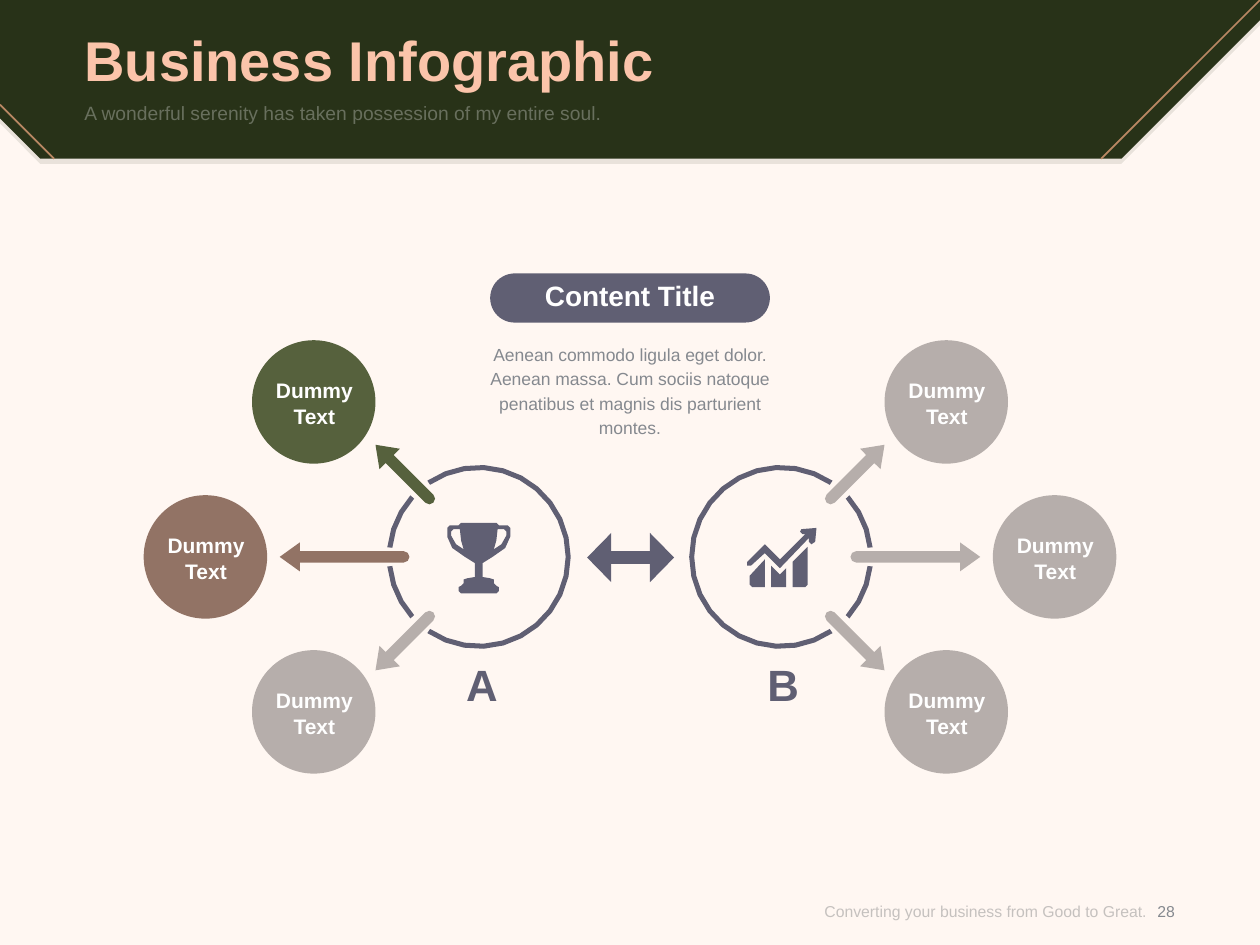
from math import cos, sin, radians
from lxml import etree
from pptx import Presentation
from pptx.dml.color import RGBColor
from pptx.enum.shapes import MSO_CONNECTOR, MSO_SHAPE
from pptx.enum.text import MSO_ANCHOR, PP_ALIGN
from pptx.oxml.ns import qn
from pptx.util import Inches, Pt

COLORS = {"cream": "FFF7F2", "forest": "283218", "copper": "B98763", "peach": "FBC4AA",
          "slate": "605F73", "olive": "56613D", "brown": "927365", "taupe": "B6AEAB",
          "gray": "85898F", "footer": "8C8C8C", "white": "FFFFFF"}

prs = Presentation()
prs.slide_width, prs.slide_height = Inches(10), Inches(7.5)
s = prs.slides.add_slide(prs.slide_layouts[1])
s.background.fill.solid()
s.background.fill.fore_color.rgb = RGBColor.from_string(COLORS["cream"])


def paint(fill, color, element, alpha=100):
    """Solid fill; element holds the colour that alpha (percent) applies to."""
    fill.solid()
    fill.fore_color.rgb = RGBColor.from_string(COLORS[color])
    if alpha < 100:
        clr = next(element.iter(qn("a:srgbClr")))
        etree.SubElement(clr, qn("a:alpha")).set("val", str(alpha * 1000))


def freeform(outlines, color, alpha=100):
    """One filled shape from closed outlines given in inches."""
    builder = None
    for outline in outlines:
        pts = [(Inches(x), Inches(y)) for x, y in outline]
        if builder is None:
            builder = s.shapes.build_freeform(*pts[0], scale=1.0)
        else:
            builder.move_to(*pts[0])
        builder.add_line_segments(pts[1:], close=True)
    sp = builder.convert_to_shape()
    sp.shadow.inherit = False
    sp.line.fill.background()
    paint(sp.fill, color, sp._element, alpha)


# Header banner with its soft edge and copper lines
banner = [(0, 0), (10, 0), (10, 0.16), (8.9, 1.26), (0.32, 1.26), (0, 0.94)]
freeform([[(x, y + 0.04) for x, y in banner]], "forest", 10)
freeform([banner], "forest")
for x1, y1, x2, y2 in [(10, 0, 8.74, 1.26), (0, 0.83, 0.43, 1.26)]:
    line = s.shapes.add_connector(MSO_CONNECTOR.STRAIGHT, Inches(x1), Inches(y1),
                                  Inches(x2), Inches(y2))
    line.line.width = Pt(1)
    line.line.color.rgb = RGBColor.from_string(COLORS["copper"])
    etree.SubElement(line._element.spPr, qn("a:effectLst"))

# Rings, broken where the arrows pass; side -1 is A, +1 is B
CY = 4.42
for side in (-1, 1):
    cx = 5 + side * 1.2
    segments = []
    for start, end, steps in [(-124, 124, 20), (138, 174, 3), (186, 222, 3)]:
        angles = [radians(start + (end - start) * i / steps) for i in range(steps + 1)]
        arc = [(0.73, a) for a in angles] + [(0.69, a) for a in reversed(angles)]
        segments.append([(cx - side * rad * cos(a), CY + rad * sin(a)) for rad, a in arc])
    freeform(segments, "slate")

# Double arrow between the rings
double_arrow = s.shapes.add_shape(MSO_SHAPE.LEFT_RIGHT_ARROW, Inches(4.66), Inches(4.23),
                                  Inches(0.69), Inches(0.39))
double_arrow.adjustments[0], double_arrow.adjustments[1] = 0.26, 0.49

# Title pill
pill = s.shapes.add_shape(MSO_SHAPE.ROUNDED_RECTANGLE, Inches(3.89), Inches(2.17),
                          Inches(2.22), Inches(0.39))
pill.adjustments[0] = 0.5
for sp in (double_arrow, pill):
    sp.shadow.inherit = False
    sp.line.fill.background()
    paint(sp.fill, "slate", sp._element)

# Arrows: side, tip distance from the middle, tip y, angle, length, colour
arrows = [(-1, 2.02, 3.53, 45, 0.65, "olive"), (-1, 2.78, CY, 0, 1.03, "brown"),
          (-1, 2.02, 5.32, -45, 0.65, "taupe"), (1, 2.02, 3.53, 45, 0.65, "taupe"),
          (1, 2.78, CY, 0, 1.03, "taupe"), (1, 2.02, 5.32, -45, 0.65, "taupe")]
HALF = 0.045
for side, reach, tip_y, angle, length, color in arrows:
    cap = [(length - HALF + HALF * cos(radians(a)), HALF * sin(radians(a)))
           for a in range(-90, 91, 45)]
    profile = [(0, 0), (0.16, -0.115), (0.16, -HALF)] + cap + [(0.16, HALF), (0.16, 0.115)]
    c, n = cos(radians(angle)), sin(radians(angle))
    freeform([[(5 + side * (reach - u * c + v * n), tip_y + u * n + v * c)
               for u, v in profile]], color)

# Trophy: right half as offsets from its axis, then mirrored
half = [(0.14, 4.15), (0.16, 4.17), (0.23, 4.17), (0.25, 4.19), (0.25, 4.26), (0.21, 4.35),
        (0.11, 4.42), (0.03, 4.47), (0.03, 4.58), (0.09, 4.59), (0.12, 4.6), (0.12, 4.63),
        (0.14, 4.65), (0.16, 4.66), (0.16, 4.69), (0.14, 4.71)]
handle = [(0.22, 4.25), (0.22, 4.22), (0.2, 4.2), (0.15, 4.2), (0.14, 4.29), (0.12, 4.36),
          (0.18, 4.32)]
cup = [(3.8 + x, y) for x, y in half] + [(3.8 - x, y) for x, y in reversed(half)]
holes = [[(3.8 + d * x, y) for x, y in handle] for d in (1, -1)]
freeform([cup] + holes, "slate")

# Growth chart icon: three bars and a rising arrow
freeform([
    [(5.95, 4.57), (6.07, 4.44), (6.07, 4.66), (5.97, 4.66), (5.95, 4.64)],
    [(6.12, 4.49), (6.19, 4.56), (6.24, 4.51), (6.24, 4.66), (6.12, 4.66)],
    [(6.29, 4.46), (6.41, 4.34), (6.41, 4.64), (6.39, 4.66), (6.29, 4.66)],
    [(6.48, 4.19), (6.47, 4.3), (6.44, 4.32), (6.42, 4.3), (6.42, 4.27), (6.19, 4.51),
     (6.07, 4.39), (5.96, 4.49), (5.93, 4.49), (5.93, 4.46), (6.07, 4.32), (6.19, 4.44),
     (6.39, 4.24), (6.37, 4.24), (6.35, 4.22), (6.36, 4.2)],
], "slate")

# Placeholders in front of the banner
title, body = s.shapes.title, s.placeholders[1]
for sp in (title, body):
    s.shapes._spTree.append(sp._element)

# Texts: shape (None for a new box), text, box, size, colour, alpha, bold, align, anchor
L, C, R = PP_ALIGN.LEFT, PP_ALIGN.CENTER, PP_ALIGN.RIGHT
TOP, MID = MSO_ANCHOR.TOP, MSO_ANCHOR.MIDDLE
texts = [
    (title, "Business Infographic", (0.67, 0.14, 8.66, 0.65), 32, "peach", 100, True, L, MID),
    (None, "Converting your business from Good to Great.", (6.04, 6.96, 3.06, 0.54),
     9, "footer", 50, False, R, MID),
    (None, "28", (9.02, 6.96, 0.47, 0.54), 9, "gray", 100, False, C, MID),
    (body, "A wonderful serenity has taken possession of my entire soul.",
     (0.67, 0.8, 8.66, 0.39), 11, "white", 30, False, L, TOP),
    (None, "Aenean commodo ligula eget dolor. Aenean massa. Cum sociis natoque penatibus "
     "et magnis dis parturient montes.", (3.78, 2.7, 2.44, 0.79),
     10, "gray", 100, False, C, TOP),
    (None, "Content Title", (3.91, 2.21, 2.18, 0.27), 16, "white", 100, True, C, MID),
    (None, "A", (3.4, 5.22, 0.85, 0.42), 25, "slate", 100, True, C, MID),
    (None, "B", (5.79, 5.22, 0.85, 0.42), 25, "slate", 100, True, C, MID),
]

# Outer circles, in the order of the arrows, each with its label
for i, arrow in enumerate(arrows):
    side, color, row = arrow[0], arrow[-1], i % 3
    cx = 5 + side * (3.37 if row == 1 else 2.51)
    top = 2.7 + row * 1.23
    sp = s.shapes.add_shape(MSO_SHAPE.OVAL, Inches(cx - 0.49), Inches(top),
                            Inches(0.98), Inches(0.98))
    sp.shadow.inherit = False
    sp.line.fill.background()
    paint(sp.fill, color, sp._element)
    texts.append((None, "Dummy Text", (cx - 0.44, top + 0.3, 0.89, 0.4),
                  12, "white", 100, True, C, MID))

for sp, text, box, size, color, alpha, bold, align, anchor in texts:
    x, y, w, h = map(Inches, box)
    if sp is None:
        sp = s.shapes.add_textbox(x, y, w, h)
    sp.left, sp.top, sp.width, sp.height = x, y, w, h
    tf = sp.text_frame
    tf.margin_left = tf.margin_right = tf.margin_top = tf.margin_bottom = 0
    tf.word_wrap, tf.vertical_anchor = True, anchor
    tf.text = text
    p = tf.paragraphs[0]
    p.alignment, p.space_before = align, Pt(0)
    if sp is body:
        pPr = p._p.get_or_add_pPr()
        pPr.set("marL", "0")
        pPr.set("indent", "0")
        etree.SubElement(pPr, qn("a:buNone"))
    if size == 10:
        p.line_spacing = Pt(14)
    r = p.runs[0]
    r.font.name, r.font.size, r.font.bold = "Arial", Pt(size), bold
    paint(r.font.fill, color, r._r, alpha)

prs.save("out.pptx")
